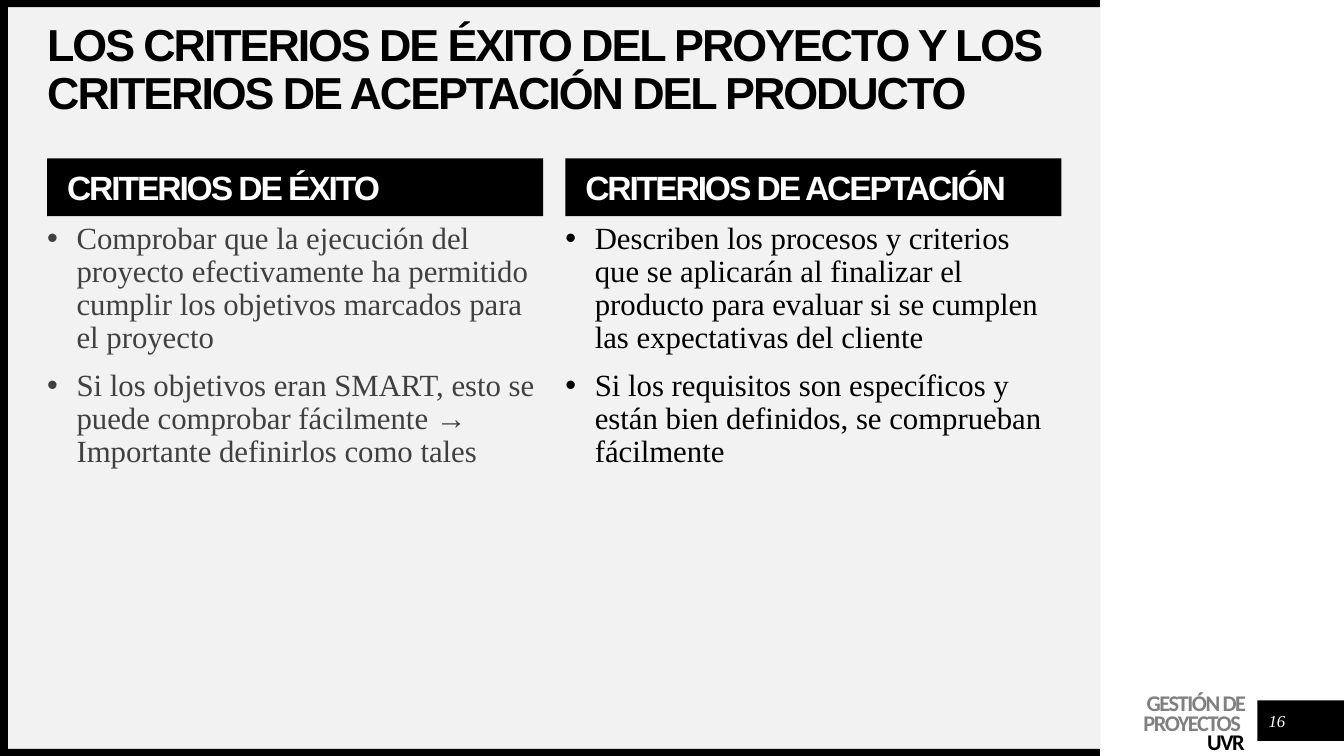
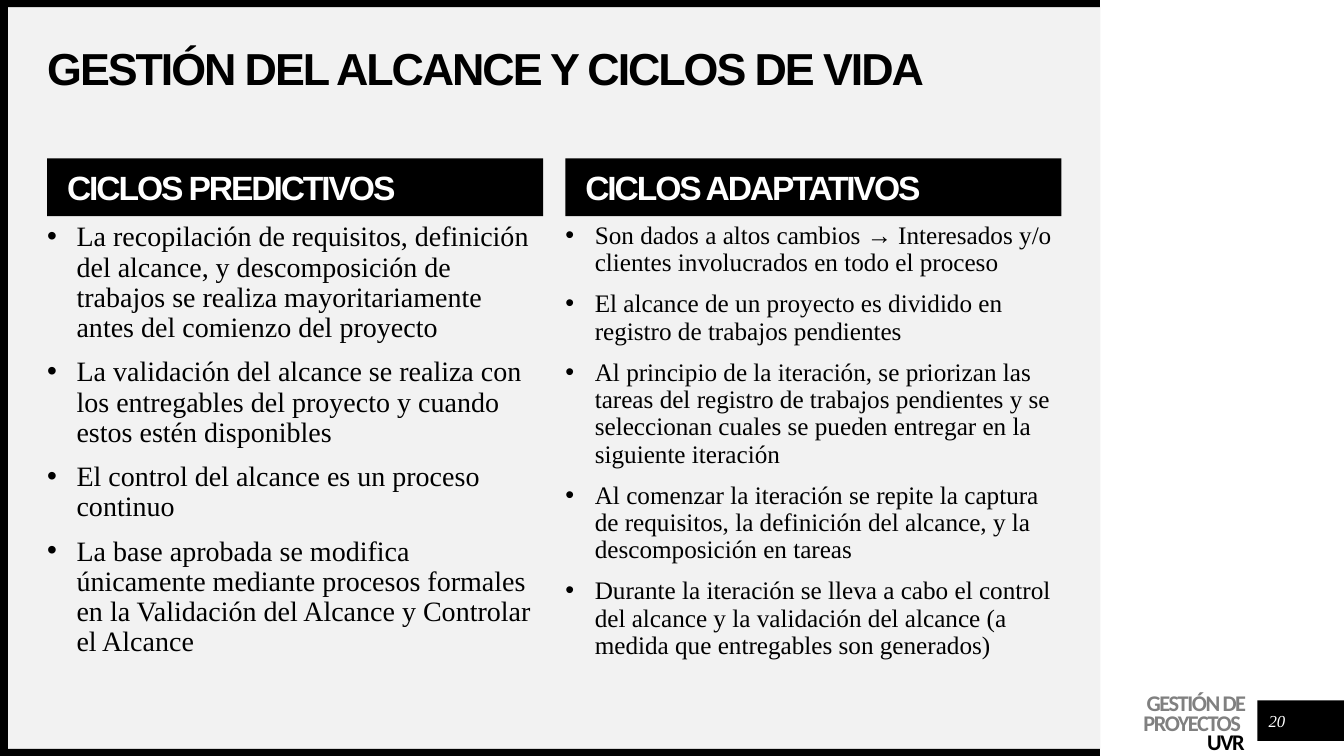
from dataclasses import dataclass

from lxml import etree
from pptx import Presentation
from pptx.dml.color import RGBColor
from pptx.enum import shapes as kinds, text as te
from pptx.oxml.ns import qn
from pptx.util import Cm, Pt

COLORS = {"ink": "000000", "paper": "F2F2F2", "white": "FFFFFF",
          "soft": "404040", "gray": "808080"}
HEAD, BODY, BRAND = "Arial", "Times New Roman", "Calibri"
WIDTH, HEIGHT = 33.87, 19.05
LEFT, COL, GAP = 1.19, 12.5, 0.65
INDENT = 0.74


@dataclass
class Box:
    left: float
    top: float
    width: float
    height: float

    def lengths(self) -> tuple:
        return Cm(self.left), Cm(self.top), Cm(self.width), Cm(self.height)


@dataclass
class Style:
    font: str
    size: float
    color: str
    bold: bool = False
    italic: bool = False
    track: float = 0


@dataclass
class Column:
    head: str
    items: list[str]
    size: int
    color: str = "ink"


@dataclass
class Page:
    title: str
    number: int
    columns: list[Column]


TITLE = Style(HEAD, 32, "ink", bold=True, track=-1.5)
LABEL = Style(HEAD, 24, "white", bold=True, track=-1.5)
NUMBER = Style(BODY, 12, "white", italic=True)

BANDS = [
    (Box(0.2, 0.18, 27.53, 18.69), "paper"),
    (Box(31.69, 17.65, 2.18, 1.02), "ink"),
    (Box(0, 18.87, 27.72, 0.18), "ink"),
    (Box(0, 0, 27.72, 0.18), "ink"),
    (Box(0, 0, 0.2, HEIGHT), "ink"),
]

PAGES = [
    Page("LOS CRITERIOS DE ÉXITO DEL PROYECTO Y LOS CRITERIOS DE ACEPTACIÓN DEL PRODUCTO", 16, [
        Column("CRITERIOS DE ÉXITO", [
            "Comprobar que la ejecución del proyecto efectivamente ha permitido cumplir los objetivos marcados para el proyecto",
            "Si los objetivos eran SMART, esto se puede comprobar fácilmente → Importante definirlos como tales",
        ], 22, "soft"),
        Column("CRITERIOS DE ACEPTACIÓN", [
            "Describen los procesos y criterios que se aplicarán al finalizar el producto para evaluar si se cumplen las expectativas del cliente",
            "Si los requisitos son específicos y están bien definidos, se comprueban fácilmente",
        ], 22),
    ]),
    Page("GESTIÓN DEL ALCANCE Y CICLOS DE VIDA", 20, [
        Column("CICLOS PREDICTIVOS", [
            "La recopilación de requisitos, definición del alcance, y descomposición de trabajos se realiza mayoritariamente antes del comienzo del proyecto",
            "La validación del alcance se realiza con los entregables del proyecto y cuando estos estén disponibles",
            "El control del alcance es un proceso continuo",
            "La base aprobada se modifica únicamente mediante procesos formales en la Validación del Alcance y Controlar el Alcance",
        ], 20),
        Column("CICLOS ADAPTATIVOS", [
            "Son dados a altos cambios → Interesados y/o clientes involucrados en todo el proceso",
            "El alcance de un proyecto es dividido en registro de trabajos pendientes",
            "Al principio de la iteración, se priorizan las tareas del registro de trabajos pendientes y se seleccionan cuales se pueden entregar en la siguiente iteración",
            "Al comenzar la iteración se repite la captura de requisitos, la definición del alcance, y la descomposición en tareas",
            "Durante la iteración se lleva a cabo el control del alcance y la validación del alcance (a medida que entregables son generados)",
        ], 18),
    ]),
]


def paint(shape, color: str) -> None:
    shape.fill.solid()
    shape.fill.fore_color.rgb = RGBColor.from_string(COLORS[color])


def format_line(para, style: Style, align=te.PP_ALIGN.LEFT, spacing=0.9, before=0) -> None:
    para.alignment = align
    para.line_spacing = spacing
    para.space_before, para.space_after = Pt(before), Pt(0)
    for run in para.runs:
        font = run.font
        font.name, font.size = style.font, Pt(style.size)
        font.bold, font.italic = style.bold, style.italic
        font.color.rgb = RGBColor.from_string(COLORS[style.color])
        if style.track:
            run._r.get_or_add_rPr().set("spc", str(int(style.track * 100)))


def add_bullet(para) -> None:
    props = para._p.get_or_add_pPr()
    props.set("marL", str(Cm(INDENT)))
    props.set("indent", str(-Cm(INDENT)))
    etree.SubElement(props, qn("a:buFont")).set("typeface", "Arial")
    etree.SubElement(props, qn("a:buChar")).set("char", "•")


def set_frame(shape, lines: list[str], anchor, left=0, top=0) -> list:
    """Fill the text frame and return its paragraphs."""
    frame = shape.text_frame
    frame.text = "\n".join(lines)
    frame.word_wrap = True
    frame.auto_size = te.MSO_AUTO_SIZE.NONE
    frame.vertical_anchor = anchor
    frame.margin_left, frame.margin_top = Cm(left), Cm(top)
    frame.margin_right = frame.margin_bottom = 0
    return frame.paragraphs


def place(shape, box: Box) -> None:
    shape.left, shape.top, shape.width, shape.height = box.lengths()


def add_frame(slide, layout) -> None:
    """Draw the bands and the course label, then move them to the layout."""
    parts = []
    for box, color in BANDS:
        band = slide.shapes.add_shape(kinds.MSO_SHAPE.RECTANGLE, *box.lengths())
        band.shadow.inherit = False
        paint(band, color)
        band.line.fill.background()
        parts.append(band)
    label = slide.shapes.add_textbox(*Box(26.75, 17.45, 4.62, 1.63).lengths())
    lines = set_frame(label, ["GESTIÓN DE PROYECTOS ", "UVR"], te.MSO_ANCHOR.TOP, top=0.1)
    for para, color in zip(lines, ("gray", "ink")):
        format_line(para, Style(BRAND, 16, color, bold=True, track=-1),
                    te.PP_ALIGN.RIGHT, Pt(14))
    for part in parts + [label]:
        layout.shapes.element.append(part.element)


def add_column(slide, index: int, column: Column) -> None:
    left = LEFT + index * (COL + GAP - 0.09)
    head, body = (slide.placeholders[2 * index + n] for n in (1, 2))
    place(head, Box(left, 3.99, COL, 1.46))
    paint(head, "ink")
    for para in set_frame(head, [column.head], te.MSO_ANCHOR.MIDDLE, 0.5, 0.1):
        format_line(para, LABEL, before=10)
    place(body, Box(left, 5.61, COL, 11.58))
    for para in set_frame(body, column.items, te.MSO_ANCHOR.TOP):
        format_line(para, Style(BODY, column.size, column.color), before=10)
        add_bullet(para)


def fill_page(slide, page: Page) -> None:
    title = slide.shapes.title
    place(title, Box(LEFT, 1.19, 25.55, 1.19))
    for para in set_frame(title, [page.title], te.MSO_ANCHOR.MIDDLE):
        format_line(para, TITLE)
    for index, column in enumerate(page.columns):
        add_column(slide, index, column)
    number = slide.shapes.add_textbox(*Box(31.8, 17.78, 0.76, 0.76).lengths())
    for para in set_frame(number, [str(page.number)], te.MSO_ANCHOR.MIDDLE):
        format_line(para, NUMBER, te.PP_ALIGN.CENTER, 1.0)


def main() -> None:
    deck = Presentation()
    deck.slide_width, deck.slide_height = Cm(WIDTH), Cm(HEIGHT)
    layout = deck.slide_layouts.get_by_name("Comparison")
    slides = [deck.slides.add_slide(layout) for _ in PAGES]
    add_frame(slides[0], layout)
    for slide, page in zip(slides, PAGES):
        fill_page(slide, page)
    deck.save("out.pptx")


if __name__ == "__main__":
    main()
